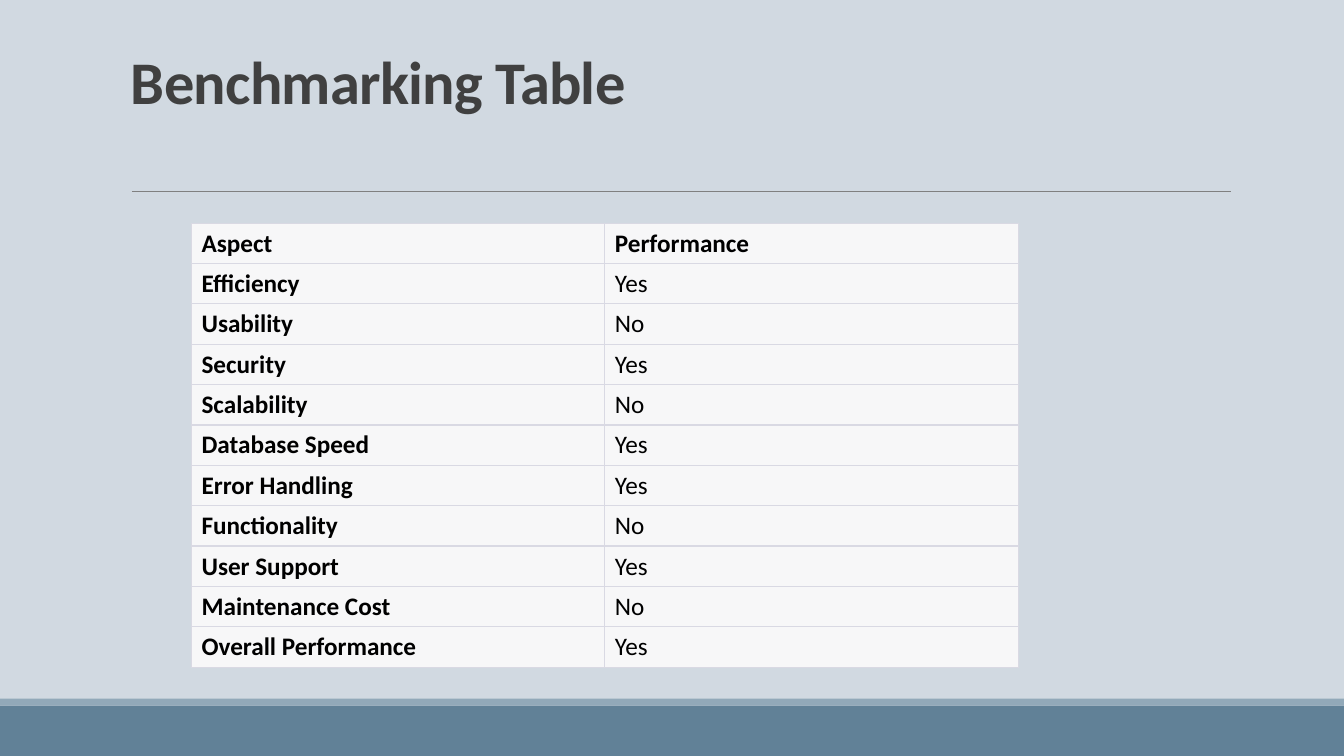
from typing import Any, NamedTuple

from lxml.etree import SubElement
from pptx import Presentation
from pptx.dml.color import RGBColor
from pptx.enum.shapes import MSO_CONNECTOR as Connector, MSO_SHAPE as Preset
from pptx.enum.text import MSO_ANCHOR as Anchor
from pptx.oxml import parse_xml
from pptx.oxml.ns import nsdecls, qn
from pptx.util import Pt

SLIDE_WIDTH, SLIDE_HEIGHT = 960, 540
FONT = "Calibri"
CELL_FILL, GRID_COLOR = "F7F7F8", "D9D9E3"
COLUMN_WIDTH, ROW_HEIGHT = 295.2, 28.8
OUTER_WIDTH, INNER_WIDTH = 0.75, 1


class Band(NamedTuple):
    """A full-width strip at the foot of the slide."""
    top: float
    height: float
    color: str


class Benchmark(NamedTuple):
    """One row of the benchmarking table."""
    aspect: str
    performance: str


FOOTER_BANDS = [Band(504, 36, "618197"), Band(499, 5, "92A9B9")]
BENCHMARKS = [
    Benchmark("Aspect", "Performance"),
    Benchmark("Efficiency", "Yes"),
    Benchmark("Usability", "No"),
    Benchmark("Security", "Yes"),
    Benchmark("Scalability", "No"),
    Benchmark("Database Speed", "Yes"),
    Benchmark("Error Handling", "Yes"),
    Benchmark("Functionality", "No"),
    Benchmark("User Support", "Yes"),
    Benchmark("Maintenance Cost", "No"),
    Benchmark("Overall Performance", "Yes"),
]


def paint(target: Any, color: str) -> None:
    """Give a fill a solid hex colour."""
    target.solid()
    target.fore_color.rgb = RGBColor.from_string(color)


def apply(target: Any, formats: dict[str, Any]) -> None:
    """Set every attribute in a dict of format values."""
    for attribute, value in formats.items():
        setattr(target, attribute, value)


def write(paragraph: Any, text: str, size: float, color: str, bold: bool) -> Any:
    """Add a formatted run to a paragraph and return it."""
    run = paragraph.add_run()
    run.text = text
    apply(run.font, {"name": FONT, "size": Pt(size), "bold": bold})
    paint(run.font.fill, color)
    return run


def draw_band(slide: Any, band: Band) -> None:
    """Draw one footer strip."""
    strip = slide.shapes.add_shape(
        Preset.RECTANGLE, 0, Pt(band.top), Pt(SLIDE_WIDTH), Pt(band.height))
    strip.shadow.inherit = False
    paint(strip.fill, band.color)
    strip.line.fill.background()


def draw_rule(slide: Any) -> None:
    """Draw the thin line below the title."""
    rule = slide.shapes.add_connector(
        Connector.STRAIGHT, Pt(94.3), Pt(136.8), Pt(879.1), Pt(136.8))
    rule.line.width = Pt(0.5)
    paint(rule.line.fill, "808080")
    SubElement(rule._element.spPr, qn("a:effectLst"))


def draw_title(slide: Any) -> None:
    """Write the slide title, raised above the rule."""
    title = slide.shapes.add_textbox(Pt(86.4), Pt(22.3), Pt(792), Pt(114.5))
    apply(title.text_frame, {"word_wrap": True, "vertical_anchor": Anchor.BOTTOM,
                             "margin_bottom": Pt(53.4)})
    heading = title.text_frame.paragraphs[0]
    heading.line_spacing = 0.85
    run = write(heading, "Benchmarking Table", 43.2, "404040", True)
    run._r.get_or_add_rPr().set("spc", "-50")


def set_borders(cell: Any, widths: dict[str, float]) -> None:
    """Put border lines ahead of the fill of a cell, in schema order."""
    properties = cell._tc.get_or_add_tcPr()
    for position, (side, width) in enumerate(widths.items()):
        properties.insert(position, parse_xml(
            f'<a:ln{side} {nsdecls("a")} w="{Pt(width)}"><a:solidFill>'
            f'<a:srgbClr val="{GRID_COLOR}"/></a:solidFill></a:ln{side}>'))


def draw_benchmarks(slide: Any) -> None:
    """Build the table of aspects and their performance."""
    last_row = len(BENCHMARKS) - 1
    table = slide.shapes.add_table(
        len(BENCHMARKS), 2, Pt(136.8), Pt(159.4),
        Pt(2 * COLUMN_WIDTH), Pt(len(BENCHMARKS) * ROW_HEIGHT)).table
    table.horz_banding = False
    for column in table.columns:
        column.width = Pt(COLUMN_WIDTH)
    for row, benchmark in enumerate(BENCHMARKS):
        table.rows[row].height = Pt(ROW_HEIGHT)
        is_header = row == 0
        for column, text in enumerate(benchmark):
            cell = table.cell(row, column)
            cell.vertical_anchor = Anchor.BOTTOM if is_header else Anchor.MIDDLE
            paint(cell.fill, CELL_FILL)
            set_borders(cell, {
                "L": OUTER_WIDTH, "R": OUTER_WIDTH,
                "T": OUTER_WIDTH if is_header else INNER_WIDTH,
                "B": OUTER_WIDTH if row == last_row else INNER_WIDTH})
            write(cell.text_frame.paragraphs[0], text, 18, "000000",
                  is_header or column == 0)


def main() -> None:
    """Build the slide and save it."""
    deck = Presentation()
    apply(deck, {"slide_width": Pt(SLIDE_WIDTH), "slide_height": Pt(SLIDE_HEIGHT)})
    slide = deck.slides.add_slide(deck.slide_layouts[6])
    paint(slide.background.fill, "D1D9E1")
    for band in FOOTER_BANDS:
        draw_band(slide, band)
    draw_rule(slide)
    draw_title(slide)
    draw_benchmarks(slide)
    deck.save("out.pptx")


main()
